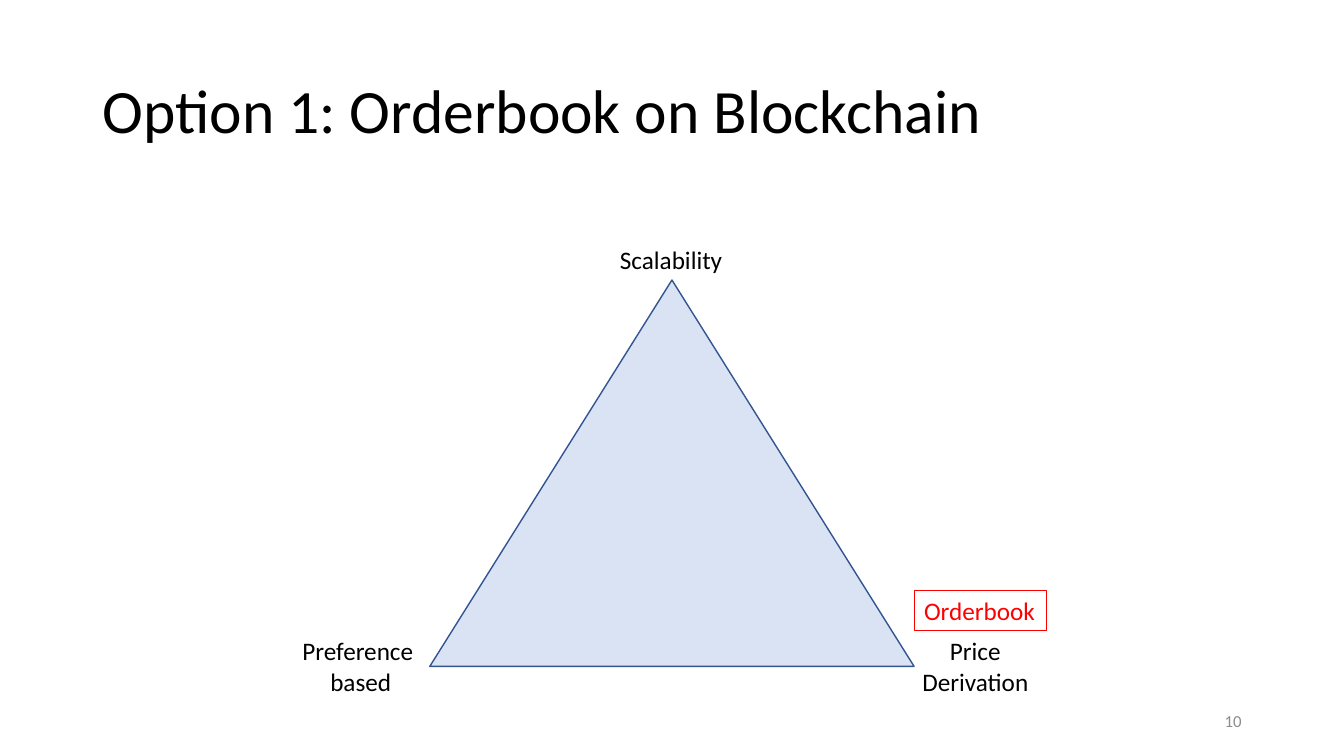
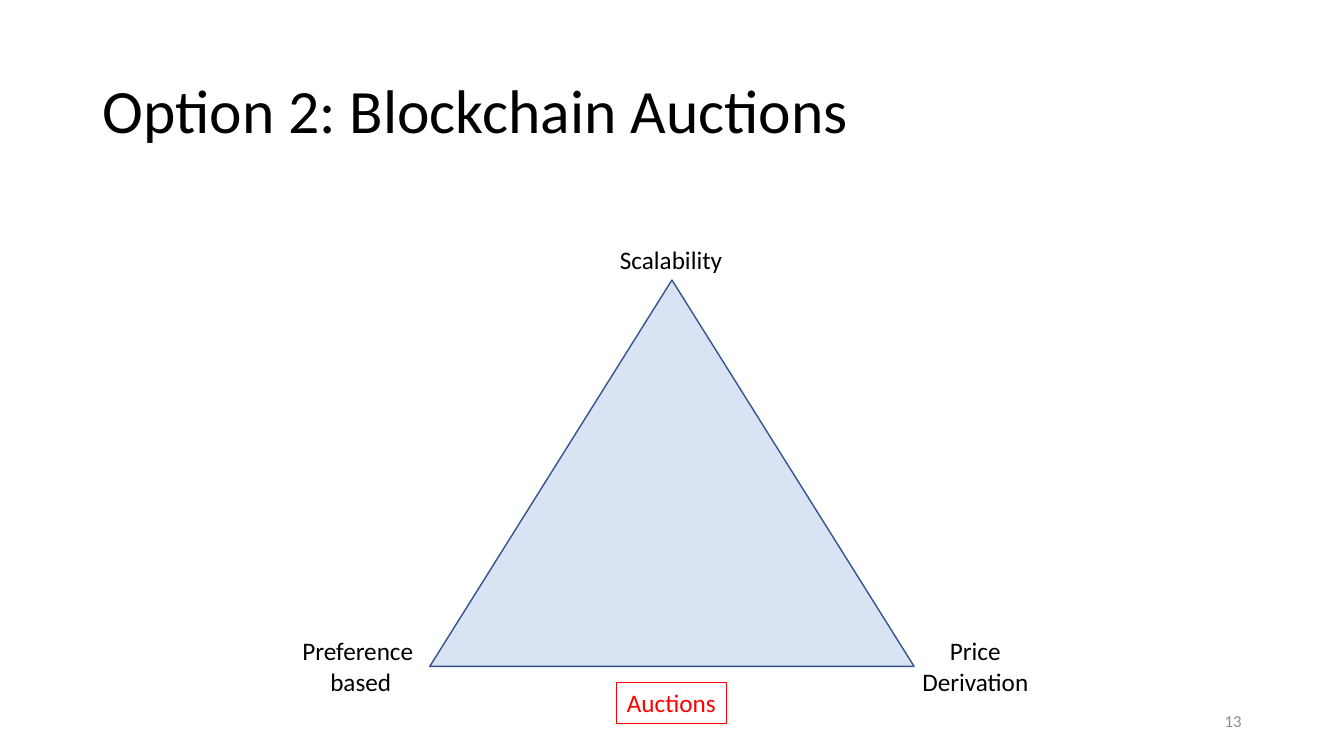
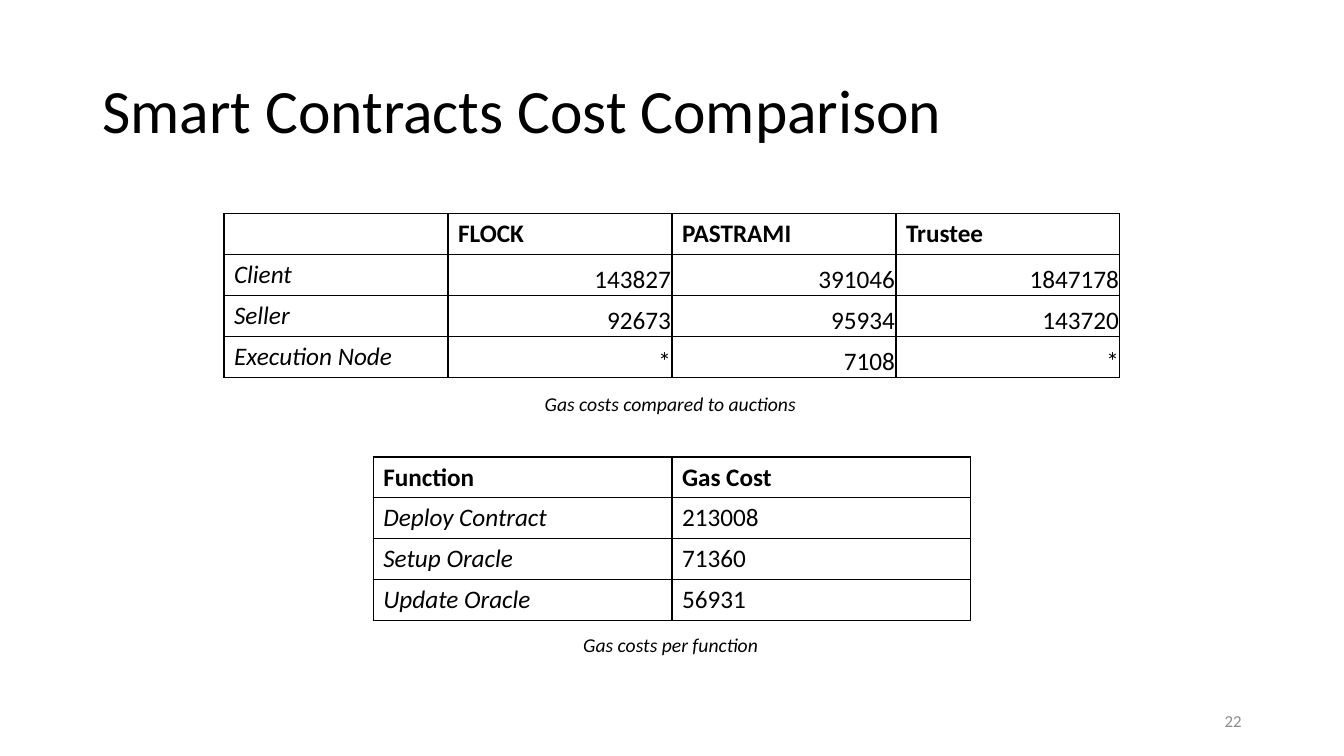
from collections import namedtuple
from dataclasses import dataclass

from lxml.etree import SubElement
from pptx import Presentation
from pptx.dml.color import RGBColor as Rgb
from pptx.enum.shapes import MSO_SHAPE as Preset
from pptx.enum.text import MSO_ANCHOR as Anchor, MSO_AUTO_SIZE as AutoSize, PP_ALIGN as Align
from pptx.oxml.ns import qn
from pptx.util import Pt

Box = namedtuple("Box", "left top width height")


@dataclass(frozen=True)
class Theme:
    """Colours, type sizes and line widths of the whole deck."""
    font: str = "Calibri"
    ink: str = "000000"
    muted: str = "8C8C8C"
    accent: str = "FF0000"
    area: str = "DAE3F3"
    edge: str = "325491"
    title: int = 44
    body: int = 18
    caption: int = 14
    footer: int = 12
    rule: float = 1
    tag_rule: float = 0.75


THEME = Theme()
SLIDE = Box(0, 0, 960, 540)
TITLE = Box(66, 28.8, 828, 104.4)
NUMBER = Box(678, 500.4, 216, 28.8)
TRIANGLE = Box(307, 200, 346, 276)
LINE_HEIGHT, PAIR_HEIGHT, CAPTION_HEIGHT = 29, 51, 24
ROW_HEIGHT = 29.2

AUCTION_COSTS = [
    ["", "FLOCK", "PASTRAMI", "Trustee"],
    ["Client", "143827", "391046", "1847178"],
    ["Seller", "92673", "95934", "143720"],
    ["Execution Node", "*", "7108", "*"],
]
FUNCTION_COSTS = [
    ["Function", "Gas Cost"],
    ["Deploy Contract", "213008"],
    ["Setup Oracle", "71360"],
    ["Update Oracle", "56931"],
]


def in_points(box):
    """Turn a box into four lengths."""
    return [Pt(length) for length in box]


def write(frame, text, size, color=THEME.ink, align=Align.LEFT, bold=False, italic=False):
    """Set the text of a frame and format every run."""
    frame.text = text
    for paragraph in frame.paragraphs:
        paragraph.alignment = align
        for run in paragraph.runs:
            font = run.font
            font.name, font.size = THEME.font, Pt(size)
            font.bold, font.italic = bold, italic
            font.color.rgb = Rgb.from_string(color)


def add_label(slide, box, text, size=THEME.body, **style):
    """Add an unwrapped text box and return it."""
    label = slide.shapes.add_textbox(*in_points(box))
    label.text_frame.word_wrap = False
    write(label.text_frame, text, size, **style)
    return label


def add_page(deck, title, number):
    """Add a slide with its title and page number."""
    slide = deck.slides.add_slide(deck.slide_layouts[5])
    heading = slide.shapes.title
    heading.left, heading.top, heading.width, heading.height = in_points(TITLE)
    frame = heading.text_frame
    frame.auto_size, frame.vertical_anchor = AutoSize.NONE, Anchor.MIDDLE
    write(frame, title, THEME.title)
    frame.paragraphs[0].line_spacing = 0.9
    page_number = add_label(slide, NUMBER, str(number), THEME.footer,
                            color=THEME.muted, align=Align.RIGHT)
    page_number.text_frame.word_wrap = True
    page_number.text_frame.vertical_anchor = Anchor.MIDDLE
    return slide


def add_trilemma(slide, box):
    """Draw the triangle in its box and name the three corners."""
    triangle = slide.shapes.add_shape(Preset.ISOSCELES_TRIANGLE, *in_points(box))
    triangle.shadow.inherit = False
    triangle.fill.solid()
    triangle.fill.fore_color.rgb = Rgb.from_string(THEME.area)
    triangle.line.color.rgb = Rgb.from_string(THEME.edge)
    triangle.line.width = Pt(THEME.rule)
    middle = box.left + box.width / 2
    pair_top = box.top + box.height - PAIR_HEIGHT / 2
    add_label(slide, Box(middle - 44.3, box.top - LINE_HEIGHT, 88.6, LINE_HEIGHT), "Scalability")
    add_label(slide, Box(box.left + box.width - 2, pair_top, 91.4, PAIR_HEIGHT),
              "Price\nDerivation", align=Align.CENTER)
    add_label(slide, Box(box.left - 98.6, pair_top, 98.6, PAIR_HEIGHT),
              "Preference \nbased", align=Align.CENTER)


def add_tag(slide, box, text):
    """Add a red outlined tag."""
    tag = add_label(slide, box, text, color=THEME.accent)
    tag.line.color.rgb = Rgb.from_string(THEME.accent)
    tag.line.width = Pt(THEME.tag_rule)


def corner_tag_box(box, width):
    """Place a tag above the name of the right corner."""
    bottom = box.top + box.height - PAIR_HEIGHT / 2
    return Box(box.left + box.width, bottom - LINE_HEIGHT, width, LINE_HEIGHT)


def base_tag_box(box, width):
    """Place a tag centred below the base."""
    return Box(box.left + (box.width - width) / 2, box.top + box.height + 11.5, width, LINE_HEIGHT)


def add_option_slide(deck, title, number, tag, tag_box):
    """Build a slide that locates one option on the triangle."""
    slide = add_page(deck, title, number)
    add_trilemma(slide, TRIANGLE)
    add_tag(slide, tag_box, tag)


def outline_cell(cell):
    """Clear the fill of a cell and rule its four sides."""
    cell.fill.background()
    properties = cell._tc.get_or_add_tcPr()
    for place, side in enumerate(("a:lnL", "a:lnR", "a:lnT", "a:lnB")):
        border = SubElement(properties, qn(side), w=str(Pt(THEME.rule)))
        SubElement(SubElement(border, qn("a:solidFill")), qn("a:srgbClr"), val=THEME.ink)
        properties.insert(place, border)


def add_cost_table(slide, box, costs, caption, caption_width, caption_gap, tight):
    """Add a ruled table in its box with a centred caption below."""
    table = slide.shapes.add_table(len(costs), len(costs[0]), *in_points(box)).table
    table.first_row = table.horz_banding = False
    for column in table.columns:
        column.width = Pt(box.width / len(costs[0]))
    for row_index, row in enumerate(costs):
        table.rows[row_index].height = Pt(box.height / len(costs))
        for column_index, text in enumerate(row):
            cell = table.cell(row_index, column_index)
            figure = tight and row_index > 0 and column_index > 0
            if figure:
                cell.margin_left = cell.margin_right = cell.margin_top = Pt(0.72)
                cell.margin_bottom = Pt(0)
                cell.vertical_anchor = Anchor.BOTTOM
            write(cell.text_frame, text, THEME.body, align=Align.RIGHT if figure else Align.LEFT,
                  bold=row_index == 0, italic=row_index > 0 and column_index == 0)
            outline_cell(cell)
    caption_left = box.left + (box.width - caption_width) / 2
    add_label(slide, Box(caption_left, box.top + box.height + caption_gap, caption_width,
                         CAPTION_HEIGHT), caption, THEME.caption, italic=True)


def centred_table_box(top, width, costs):
    """Centre a table across the slide."""
    return Box((SLIDE.width - width) / 2, top, width, ROW_HEIGHT * len(costs))


def add_cost_slide(deck, title, number):
    """Build the slide with the two cost tables."""
    slide = add_page(deck, title, number)
    add_cost_table(slide, centred_table_box(152.6, 640, AUCTION_COSTS), AUCTION_COSTS,
                   "Gas costs compared to auctions", 196, 7, tight=True)
    add_cost_table(slide, centred_table_box(326.4, 426.8, FUNCTION_COSTS), FUNCTION_COSTS,
                   "Gas costs per function", 141, 5, tight=False)


def main():
    """Build and save the deck."""
    deck = Presentation()
    deck.slide_width, deck.slide_height = Pt(SLIDE.width), Pt(SLIDE.height)
    add_option_slide(deck, "Option 1: Orderbook on Blockchain", 10,
                     "Orderbook", corner_tag_box(TRIANGLE, 94.4))
    add_option_slide(deck, "Option 2: Blockchain Auctions", 13,
                     "Auctions", base_tag_box(TRIANGLE, 78.6))
    add_cost_slide(deck, "Smart Contracts Cost Comparison", 22)
    deck.save("out.pptx")


if __name__ == "__main__":
    main()
